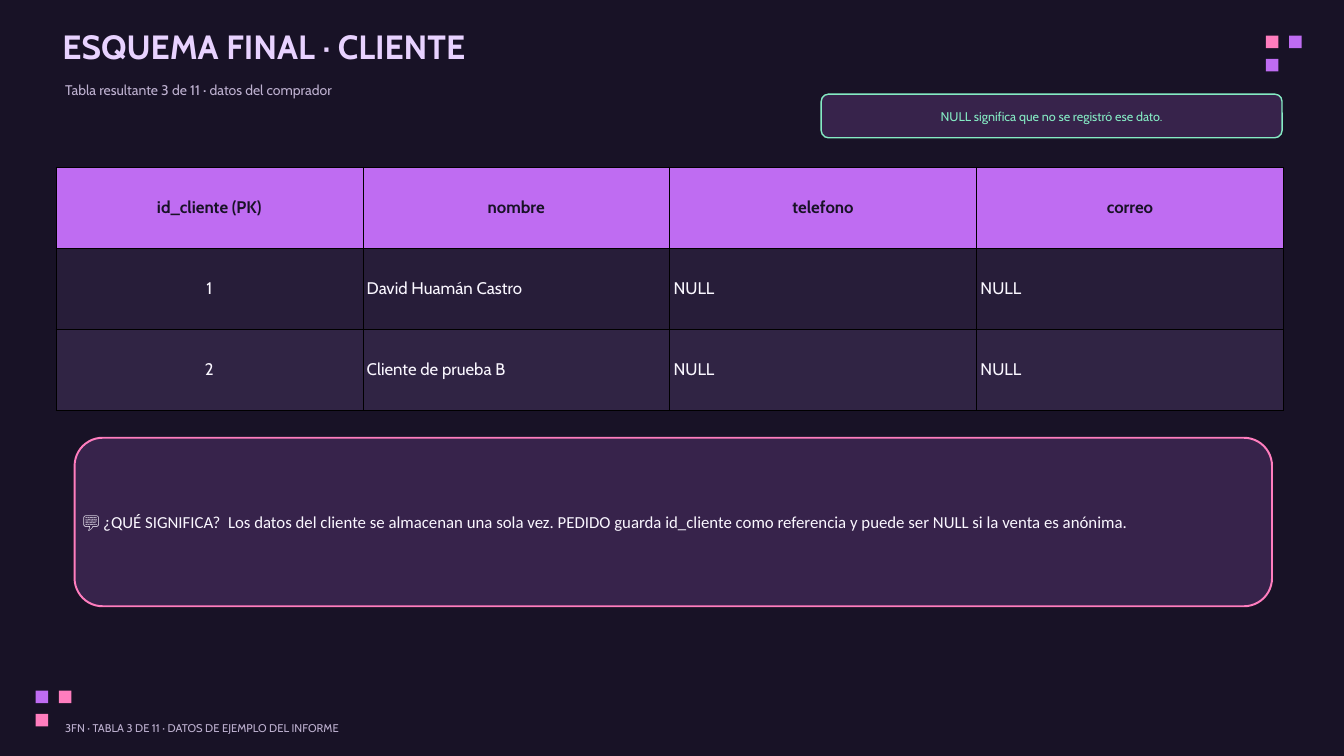
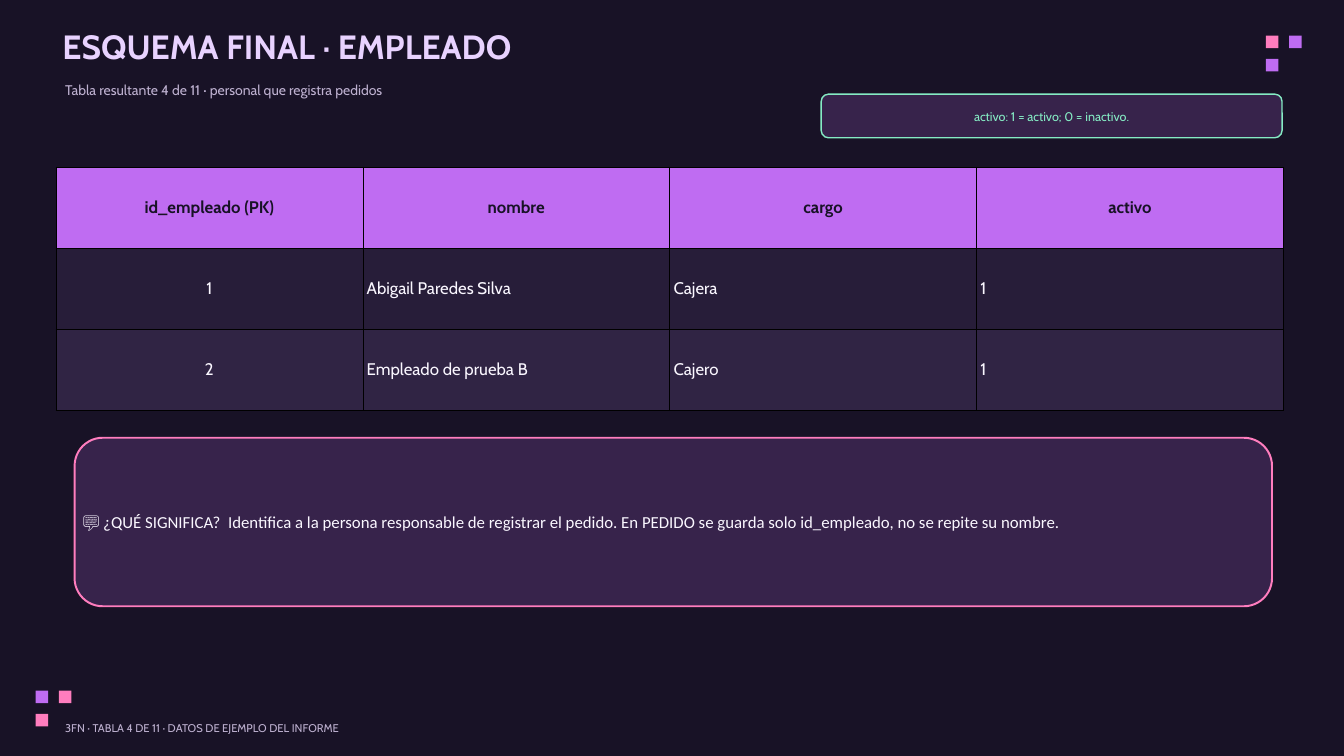
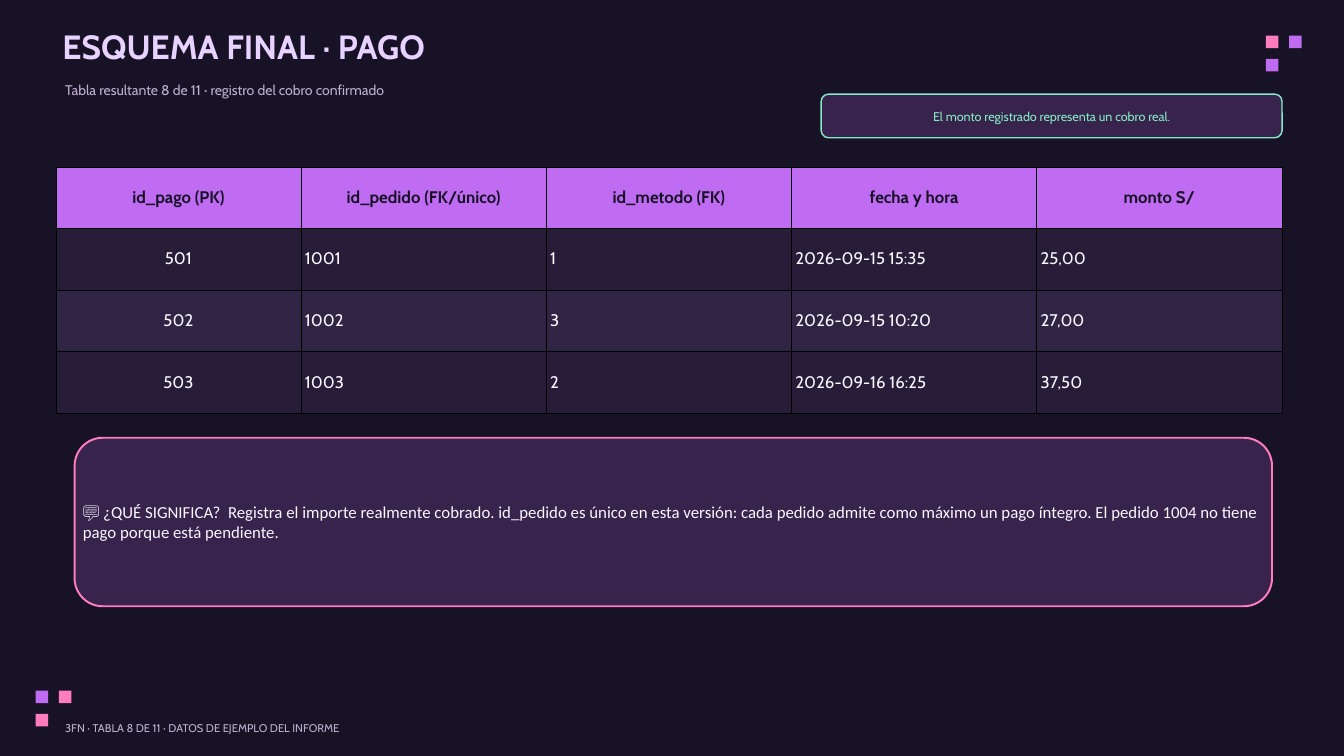
import dataclasses

import lxml.etree
import pptx
import pptx.dml.color
import pptx.enum.shapes
import pptx.enum.text
import pptx.oxml.ns
import pptx.slide
import pptx.table
import pptx.text.text
import pptx.util

Cm = pptx.util.Cm
Pt = pptx.util.Pt
ALIGN = pptx.enum.text.PP_ALIGN
ANCHOR = pptx.enum.text.MSO_ANCHOR
SHAPE = pptx.enum.shapes.MSO_SHAPE

NIGHT = "181226"
VIOLET = "BF6CF2"
PINK = "FF7DBE"
MINT = "85EBC4"
PANEL = "37234B"
WHITE = "FAF7FF"
LILAC = "E8D2FF"
MUTED = "BEB1D0"
BANDS = ("271D39", "302444")
INSET = 0.15
SIDE = 0.47
STEP = 0.88


@dataclasses.dataclass(frozen=True)
class Box:
    left: float
    top: float
    width: float
    height: float

    def place(self) -> tuple[int, ...]:
        return tuple(Cm(n) for n in dataclasses.astuple(self))


@dataclasses.dataclass(frozen=True)
class Style:
    size: float
    hue: str
    bold: bool = False
    font: str = "Cabin"
    align: ALIGN = ALIGN.LEFT


@dataclasses.dataclass(frozen=True)
class Panel:
    box: Box
    edge: str
    weight: float
    inset: float
    style: Style


@dataclasses.dataclass(frozen=True)
class Cluster:
    left: float
    top: float
    hues: tuple[str, str, str]


@dataclasses.dataclass(frozen=True)
class Schema:
    name: str
    number: int
    topic: str
    hint: str
    meaning: str
    grid: Box
    rows: tuple[tuple[str, ...], ...]


TITLE = Style(36, LILAC, bold=True)
TOPIC = Style(15, MUTED)
FOOTER = Style(12, MUTED)
HEADER = Style(18, NIGHT, bold=True, align=ALIGN.CENTER)
KEY = Style(18, WHITE, align=ALIGN.CENTER)
VALUE = Style(18, WHITE)

TITLE_BOX = Box(2.36, 0.97, 45.62, 1.65)
TOPIC_BOX = Box(2.46, 3.07, 45.62, 0.89)
FOOTER_BOX = Box(2.46, 27.28, 45.24, 0.51)
HINT = Panel(Box(31.04, 3.56, 17.42, 1.65), MINT, 1.5, INSET,
             Style(13.5, MINT, align=ALIGN.CENTER))
MEANING = Panel(Box(2.82, 16.55, 45.26, 6.37), PINK, 2.1, 0,
                Style(18, WHITE, font="Calibri"))
CLUSTERS = (
    Cluster(47.85, 1.35, (PINK, VIOLET, VIOLET)),
    Cluster(1.35, 26.11, (VIOLET, PINK, PINK)),
)

SCHEMAS = (
    Schema(
        "CLIENTE", 3, "datos del comprador",
        "NULL significa que no se registró ese dato.",
        "Los datos del cliente se almacenan una sola vez. PEDIDO guarda id_cliente "
        "como referencia y puede ser NULL si la venta es anónima.",
        Box(2.11, 6.3, 46.4, 9.22),
        (
            ("id_cliente (PK)", "nombre", "telefono", "correo"),
            ("1", "David Huamán Castro", "NULL", "NULL"),
            ("2", "Cliente de prueba B", "NULL", "NULL"),
        ),
    ),
    Schema(
        "EMPLEADO", 4, "personal que registra pedidos",
        "activo: 1 = activo; 0 = inactivo.",
        "Identifica a la persona responsable de registrar el pedido. En PEDIDO se "
        "guarda solo id_empleado, no se repite su nombre.",
        Box(2.11, 6.3, 46.4, 9.22),
        (
            ("id_empleado (PK)", "nombre", "cargo", "activo"),
            ("1", "Abigail Paredes Silva", "Cajera", "1"),
            ("2", "Empleado de prueba B", "Cajero", "1"),
        ),
    ),
    Schema(
        "PAGO", 8, "registro del cobro confirmado",
        "El monto registrado representa un cobro real.",
        "Registra el importe realmente cobrado. id_pedido es único en esta versión: "
        "cada pedido admite como máximo un pago íntegro. El pedido 1004 no tiene "
        "pago porque está pendiente.",
        Box(2.11, 6.3, 46.34, 9.32),
        (
            ("id_pago (PK)", "id_pedido (FK/único)", "id_metodo (FK)",
             "fecha y hora", "monto S/"),
            ("501", "1001", "1", "2026-09-15 15:35", "25,00"),
            ("502", "1002", "3", "2026-09-15 10:20", "27,00"),
            ("503", "1003", "2", "2026-09-16 16:25", "37,50"),
        ),
    ),
)


def paint(hue: str) -> pptx.dml.color.RGBColor:
    return pptx.dml.color.RGBColor.from_string(hue)


def write(frame: pptx.text.text.TextFrame, text: str, style: Style) -> None:
    para = frame.paragraphs[0]
    para.alignment = style.align
    para.line_spacing = Pt(style.size * 1.2)
    para.space_before = Pt(0)
    run = para.add_run()
    run.text = text
    run.font.name = style.font
    run.font.size = Pt(style.size)
    run.font.bold = style.bold
    run.font.color.rgb = paint(style.hue)


def fit(frame: pptx.text.text.TextFrame, inset: float, anchor: ANCHOR) -> None:
    frame.auto_size = pptx.enum.text.MSO_AUTO_SIZE.NONE
    frame.word_wrap = True
    frame.vertical_anchor = anchor
    frame.margin_left = frame.margin_right = Cm(inset)
    frame.margin_top = frame.margin_bottom = Cm(inset)


def add_title(slide: pptx.slide.Slide, text: str) -> None:
    title = slide.shapes.title
    title.left, title.top, title.width, title.height = TITLE_BOX.place()
    fit(title.text_frame, 0, ANCHOR.TOP)
    write(title.text_frame, text, TITLE)


def add_label(slide: pptx.slide.Slide, box: Box, text: str, style: Style) -> None:
    frame = slide.shapes.add_textbox(*box.place()).text_frame
    fit(frame, 0, ANCHOR.TOP)
    write(frame, text, style)


def add_cluster(slide: pptx.slide.Slide, group: Cluster) -> None:
    for (col, row), hue in zip(((0, 0), (1, 0), (0, 1)), group.hues):
        box = Box(group.left + col * STEP, group.top + row * STEP, SIDE, SIDE)
        square = slide.shapes.add_shape(SHAPE.RECTANGLE, *box.place())
        square.shadow.inherit = False
        square.fill.solid()
        square.fill.fore_color.rgb = paint(hue)
        square.line.fill.background()


def add_panel(slide: pptx.slide.Slide, panel: Panel, text: str) -> None:
    shape = slide.shapes.add_shape(SHAPE.ROUNDED_RECTANGLE, *panel.box.place())
    shape.shadow.inherit = False
    shape.fill.solid()
    shape.fill.fore_color.rgb = paint(PANEL)
    shape.line.color.rgb = paint(panel.edge)
    shape.line.width = Pt(panel.weight)
    fit(shape.text_frame, panel.inset, ANCHOR.MIDDLE)
    write(shape.text_frame, text, panel.style)


def add_border(cell: pptx.table._Cell) -> None:
    props = cell._tc.get_or_add_tcPr()
    name = pptx.oxml.ns.qn
    for side in ("lnL", "lnR", "lnT", "lnB"):
        line = lxml.etree.SubElement(props, name(f"a:{side}"), w=str(Pt(0.37)))
        fill = lxml.etree.SubElement(line, name("a:solidFill"))
        lxml.etree.SubElement(fill, name("a:srgbClr"), val="000000")


def add_grid(slide: pptx.slide.Slide, schema: Schema) -> None:
    rows = schema.rows
    table = slide.shapes.add_table(
        len(rows), len(rows[0]), *schema.grid.place()).table
    table.horz_banding = False
    for i, row in enumerate(rows):
        for j, text in enumerate(row):
            cell = table.cell(i, j)
            style = HEADER if i == 0 else KEY if j == 0 else VALUE
            add_border(cell)
            cell.fill.solid()
            cell.fill.fore_color.rgb = paint(BANDS[(i - 1) % 2] if i else VIOLET)
            cell.vertical_anchor = ANCHOR.MIDDLE
            cell.margin_left = cell.margin_right = Cm(INSET)
            cell.margin_top = cell.margin_bottom = Cm(INSET)
            write(cell.text_frame, text, style)


def add_schema(deck: pptx.presentation.Presentation, schema: Schema) -> None:
    slide = deck.slides.add_slide(deck.slide_layouts.get_by_name("Title Only"))
    for group in CLUSTERS:
        add_cluster(slide, group)
    add_title(slide, f"ESQUEMA FINAL · {schema.name}")
    add_label(slide, TOPIC_BOX,
              f"Tabla resultante {schema.number} de 11 · {schema.topic}", TOPIC)
    add_grid(slide, schema)
    add_panel(slide, HINT, schema.hint)
    add_panel(slide, MEANING, f"💬 ¿QUÉ SIGNIFICA?  {schema.meaning}")
    add_label(slide, FOOTER_BOX,
              f"3FN · TABLA {schema.number} DE 11 · DATOS DE EJEMPLO DEL INFORME",
              FOOTER)


def main() -> None:
    deck = pptx.Presentation()
    deck.slide_width = Cm(50.8)
    deck.slide_height = Cm(28.58)
    back = deck.slide_master.background.fill
    back.solid()
    back.fore_color.rgb = paint(NIGHT)
    for schema in SCHEMAS:
        add_schema(deck, schema)
    deck.save("out.pptx")


if __name__ == "__main__":
    main()
